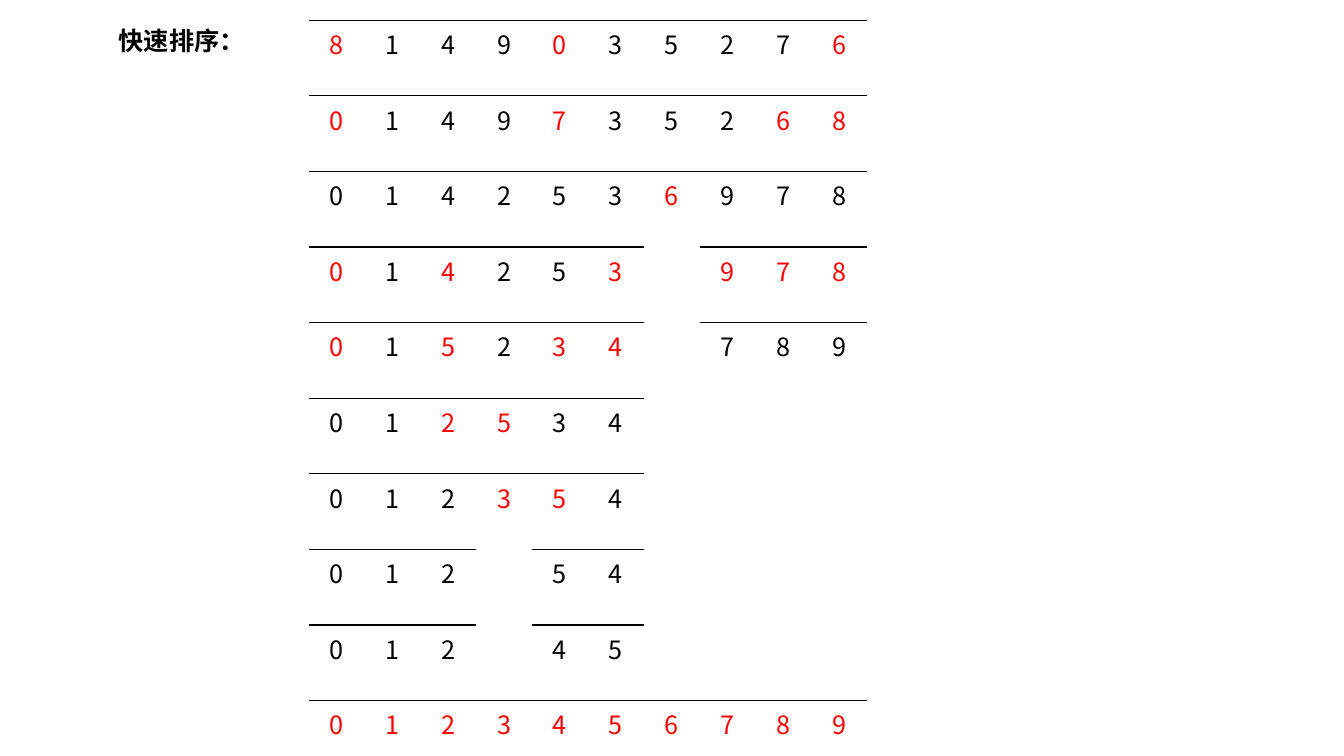
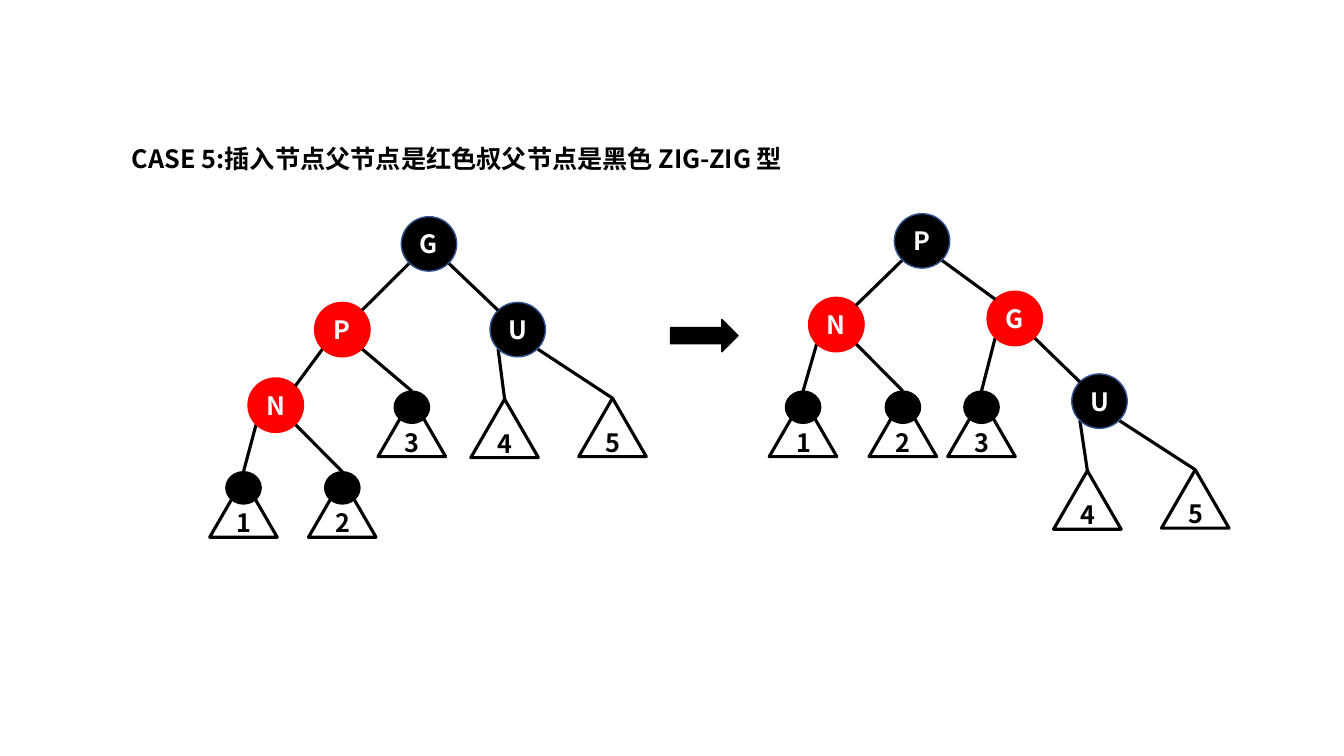
from lxml import etree
from pptx import Presentation
from pptx.dml.color import RGBColor
from pptx.enum.shapes import MSO_CONNECTOR, MSO_SHAPE
from pptx.enum.text import MSO_ANCHOR, MSO_AUTO_SIZE, PP_ALIGN
from pptx.oxml.ns import qn
from pptx.util import Inches, Pt

OVAL, TRI, ARROW = MSO_SHAPE.OVAL, MSO_SHAPE.ISOSCELES_TRIANGLE, MSO_SHAPE.RIGHT_ARROW
LINE, MIDDLE, GROW = MSO_CONNECTOR.STRAIGHT, MSO_ANCHOR.MIDDLE, MSO_AUTO_SIZE.SHAPE_TO_FIT_TEXT
LEFT, CENTER = PP_ALIGN.LEFT, PP_ALIGN.CENTER
FONT = "Noto Sans CJK SC"
BLACK, RED, WHITE, NAVY = "000000", "FF0000", "FFFFFF", "325491"
PLAIN = "{2D5ABB26-0587-4C30-8999-92F81FD0307C}"

CELL_W, CELL_H, STEP = Inches(5.54) // 10, Inches(0.41), Inches(0.75)
NODE_W, NODE_H = 0.55, 0.54
DOT_W, DOT_H = 0.35, 0.32
TRI_W, TRI_H = 0.67, 0.58
DROP = 0.07

# row, first column, digits, red digits
PARTS = [
    (0, 0, "8149035276", "806"),
    (1, 0, "0149735268", "0768"),
    (2, 0, "0142536978", "6"),
    (3, 0, "014253", "043"),
    (3, 7, "978", "978"),
    (4, 0, "015234", "0534"),
    (4, 7, "789", ""),
    (5, 0, "012534", "25"),
    (6, 0, "012354", "35"),
    (7, 0, "012", ""),
    (7, 4, "54", ""),
    (8, 0, "012", ""),
    (8, 4, "45", ""),
    (9, 0, "0123456789", "0123456789"),
]

BEFORE = ("G", BLACK, 2.07, 0, [
    ("P", RED, 1.21, 0.85, [
        ("N", RED, 0.55, 1.6, [("1", True, 0.33, 2.53), ("2", True, 1.31, 2.53)]),
        ("3", True, 2.0, 1.73)]),
    ("U", BLACK, 2.95, 0.85, [("4", False, 2.76, 1.81), ("5", False, 3.83, 1.8)])])
AFTER = ("P", BLACK, 1.41, 0, [
    ("N", RED, 0.56, 0.83, [("1", True, 0.33, 1.76), ("2", True, 1.32, 1.76)]),
    ("G", RED, 2.33, 0.77, [
        ("3", True, 2.1, 1.76),
        ("U", BLACK, 3.17, 1.59, [("4", False, 2.99, 2.55), ("5", False, 4.06, 2.54)])])])


def paint(code):
    """Turn a hex string into a colour."""
    return RGBColor.from_string(code)


def write(frame, text, color, bold=True, align=CENTER):
    """Fill a text frame with one styled paragraph."""
    para = frame.paragraphs[0]
    para.text, para.alignment = text, align
    font = para.font
    font.size, font.bold, font.name = Pt(18), bold, FONT
    font.color.rgb = paint(color)
    latin = para._p.find(".//" + qn("a:latin"))
    east = etree.Element(qn("a:ea"), typeface=FONT)
    latin.addnext(east)


def title(slide, text, left, top, width, wrap):
    """Place a bold slide heading."""
    box = slide.shapes.add_textbox(Inches(left), Inches(top), Inches(width), Inches(0.4))
    box.text_frame.word_wrap = wrap
    box.text_frame.auto_size = GROW
    write(box.text_frame, text, BLACK, align=LEFT)


def rule(cell):
    """Draw a thin line along the top of a cell."""
    props = cell._tc.get_or_add_tcPr()
    edge = etree.Element(qn("a:lnT"), w=str(Pt(1)))
    fill = etree.SubElement(edge, qn("a:solidFill"))
    etree.SubElement(fill, qn("a:srgbClr"), val=BLACK)
    props.insert(0, edge)


def strip(slide, left, top, digits, reds):
    """Place one run of digits as a single-row table."""
    count = len(digits)
    frame = slide.shapes.add_table(1, count, left, top, CELL_W * count, CELL_H)
    table = frame.table
    table.first_row = table.horz_banding = False
    table._tbl.tblPr.find(qn("a:tableStyleId")).text = PLAIN
    table.rows[0].height = CELL_H
    for col, digit in enumerate(digits):
        table.columns[col].width = CELL_W
        cell = table.cell(0, col)
        cell.fill.background()
        rule(cell)
        write(cell.text_frame, digit, RED if digit in reds else BLACK, False)


def shape(slide, kind, box, fill, edge, weight=1):
    """Place a preset shape with its fill and outline."""
    item = slide.shapes.add_shape(kind, *map(Inches, box))
    item.shadow.inherit = False
    if fill:
        item.fill.solid()
        item.fill.fore_color.rgb = paint(fill)
    else:
        item.fill.background()
    item.line.color.rgb = paint(edge)
    item.line.width = Pt(weight)
    return item


def label(item, text, color):
    """Centre a bold label in a shape."""
    item.text_frame.vertical_anchor = MIDDLE
    write(item.text_frame, text, color)


def link(slide, start, end):
    """Draw a tree edge between two points."""
    line = slide.shapes.add_connector(LINE, *map(Inches, start + end))
    line.line.color.rgb = paint(BLACK)
    line.line.width = Pt(2.25)
    etree.SubElement(line._element.spPr, qn("a:effectLst"))


def corner(x, y, right, low):
    """Find a diagonal point on the rim of a node."""
    reach = 0.5 ** 0.5
    return (x + NODE_W / 2 * (1 + right * reach), y + NODE_H / 2 * (1 + low * reach))


def leaf(slide, text, dot, x, y):
    """Place a subtree triangle, with or without a dot on its tip."""
    mid = x + DOT_W / 2 if dot else x + TRI_W / 2
    if dot:
        shape(slide, OVAL, (x, y, DOT_W, DOT_H), BLACK, BLACK)
    top = y + DROP if dot else y
    item = shape(slide, TRI, (mid - TRI_W / 2, top, TRI_W, TRI_H), None, BLACK, 2.25)
    label(item, text, BLACK)
    return mid, y


def tree(slide, left, top, node):
    """Place a node and all below it, relative to the given corner."""
    name, color, x, y, kids = node
    x, y = left + x, top + y
    for side, kid in zip((-1, 1), kids):
        if len(kid) == 4:
            text, dot, dx, dy = kid
            end = leaf(slide, text, dot, left + dx, top + dy)
        else:
            end = corner(left + kid[2], top + kid[3], -side, -1)
            tree(slide, left, top, kid)
        link(slide, corner(x, y, side, 1), end)
    edge = NAVY if color == BLACK else RED
    label(shape(slide, OVAL, (x, y, NODE_W, NODE_H), color, edge), name, WHITE)


def sorting(slide):
    """Build the quicksort slide."""
    left, top = Inches(3.06), Inches(0.2)
    for row, col, digits, reds in PARTS:
        strip(slide, left + col * CELL_W, top + row * STEP, digits, reds)
    title(slide, "快速排序：", 1.08, 0.2, 1.46, False)


def turning(slide):
    """Build the tree rotation slide."""
    title(slide, "CASE 5:插入节点父节点是红色叔父节点是黑色 ZIG-ZIG 型", 1.21, 1.37, 6.8, True)
    tree(slide, 1.91, 2.15, BEFORE)
    shape(slide, ARROW, (6.65, 3.17, 0.67, 0.32), BLACK, BLACK)
    tree(slide, 7.46, 2.12, AFTER)


def main():
    """Build and save the deck."""
    deck = Presentation()
    deck.slide_width, deck.slide_height = Inches(13.33), Inches(7.5)
    for build in (sorting, turning):
        build(deck.slides.add_slide(deck.slide_layouts[6]))
    deck.save("out.pptx")


if __name__ == "__main__":
    main()
